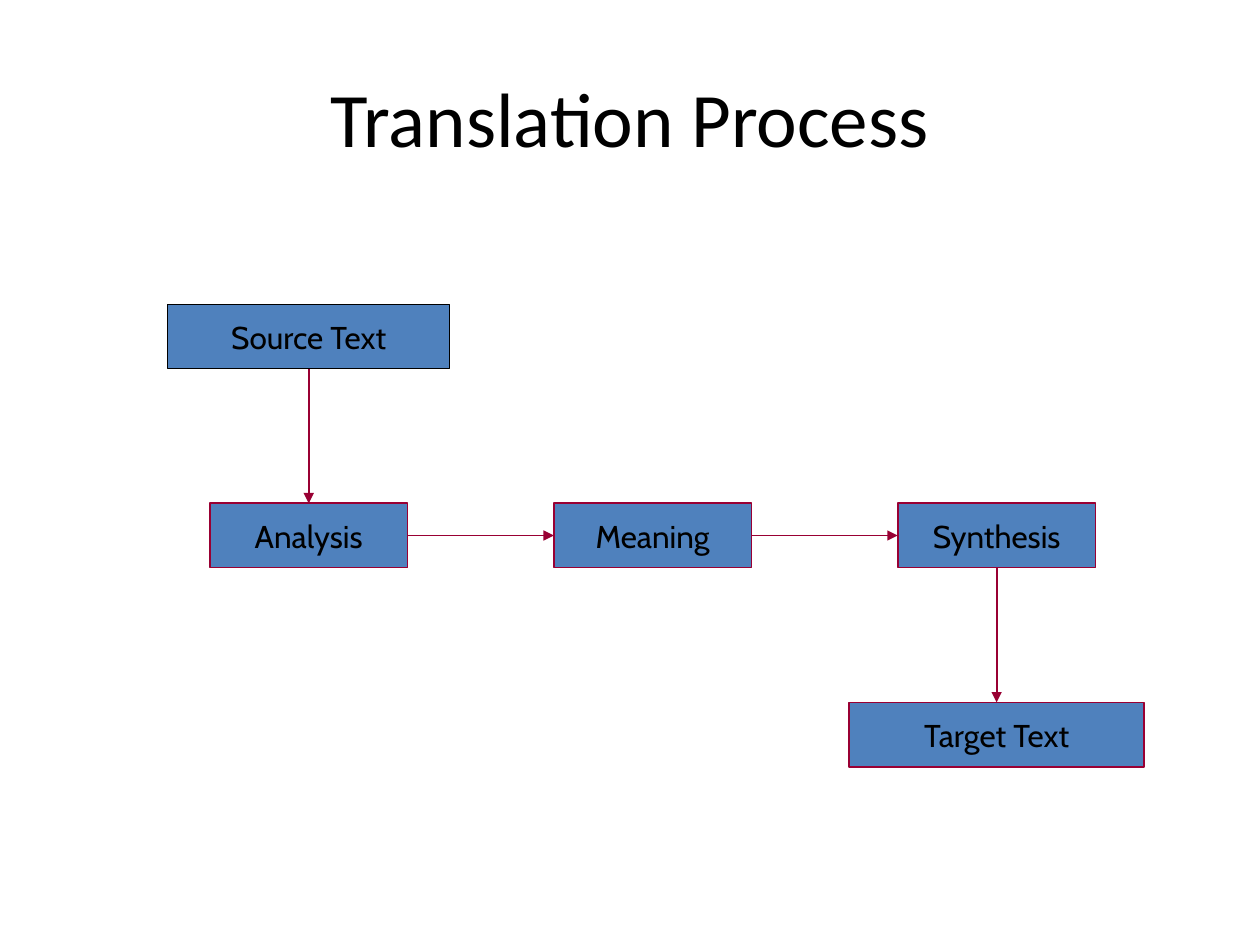
from pptx import Presentation
from pptx.dml.color import RGBColor
from pptx.enum.shapes import MSO_CONNECTOR, MSO_SHAPE
from pptx.enum.text import MSO_ANCHOR, PP_ALIGN
from pptx.oxml.ns import qn
from pptx.util import Inches, Pt
from lxml.etree import SubElement

BOTTOM, LEFT, RIGHT, TOP = 2, 1, 3, 0


def colour(value):
    """Turn a hex string into a colour."""
    return RGBColor.from_string(value)


def write(frame, text, font, size, ink="000000", wrap=True):
    """Put one centred, formatted line into a text frame."""
    frame.word_wrap = wrap
    frame.vertical_anchor = MSO_ANCHOR.MIDDLE
    para = frame.paragraphs[0]
    para.alignment = PP_ALIGN.CENTER
    span = para.add_run()
    span.text = text
    span.font.name = font
    span.font.size = Pt(size)
    span.font.color.rgb = colour(ink)


class FlowPage:
    """Holds the flow chart's style and the current slide."""

    first_column, column_step = 2.45, 2.73
    first_row, row_step = 2.67, 1.58
    box_height = 0.51
    fill, accent = "4F81BD", "990033"

    def __init__(self, deck):
        """Add a title-only slide to the deck."""
        self.page = deck.slides.add_slide(deck.slide_layouts[5])

    def title(self, text):
        """Place and fill the title placeholder."""
        box = self.page.shapes.title
        box.left, box.top = Inches(0.5), Inches(0.3)
        box.width, box.height = Inches(9), Inches(1.25)
        write(box.text_frame, text, "Calibri", 44)

    def step(self, text, column, row, width=1.57, line=accent, weight=1):
        """Add a box centred on a grid point."""
        left = self.first_column + column * self.column_step - width / 2
        top = self.first_row + row * self.row_step - self.box_height / 2
        box = self.page.shapes.add_shape(
            MSO_SHAPE.RECTANGLE, Inches(left), Inches(top),
            Inches(width), Inches(self.box_height))
        box.shadow.inherit = False
        box.fill.solid()
        box.fill.fore_color.rgb = colour(self.fill)
        box.line.color.rgb = colour(line)
        box.line.width = Pt(weight)
        write(box.text_frame, text, "Cabin", 18, wrap=False)
        return box

    def arrow(self, start, start_side, end, end_side):
        """Join two boxes with an arrow."""
        arrow = self.page.shapes.add_connector(MSO_CONNECTOR.STRAIGHT, 0, 0, 0, 0)
        arrow.begin_connect(start, start_side)
        arrow.end_connect(end, end_side)
        arrow.line.color.rgb = colour(self.accent)
        arrow.line.width = Pt(1)
        SubElement(arrow.line._get_or_add_ln(), qn("a:tailEnd"), type="triangle")
        SubElement(arrow._element.spPr, qn("a:effectLst"))


def main():
    """Build and save the translation process slide."""
    deck = Presentation()
    deck.slide_width, deck.slide_height = Inches(10), Inches(7.5)
    flow = FlowPage(deck)
    flow.title("Translation Process")
    source = flow.step("Source Text", 0, 0, width=2.24, line="000000", weight=0.75)
    analysis, meaning, synthesis = [
        flow.step(name, column, 1)
        for column, name in enumerate(("Analysis", "Meaning", "Synthesis"))]
    target = flow.step("Target Text", 2, 2, width=2.34)
    flow.arrow(source, BOTTOM, analysis, TOP)
    flow.arrow(analysis, RIGHT, meaning, LEFT)
    flow.arrow(meaning, RIGHT, synthesis, LEFT)
    flow.arrow(synthesis, BOTTOM, target, TOP)
    deck.save("out.pptx")


if __name__ == "__main__":
    main()
